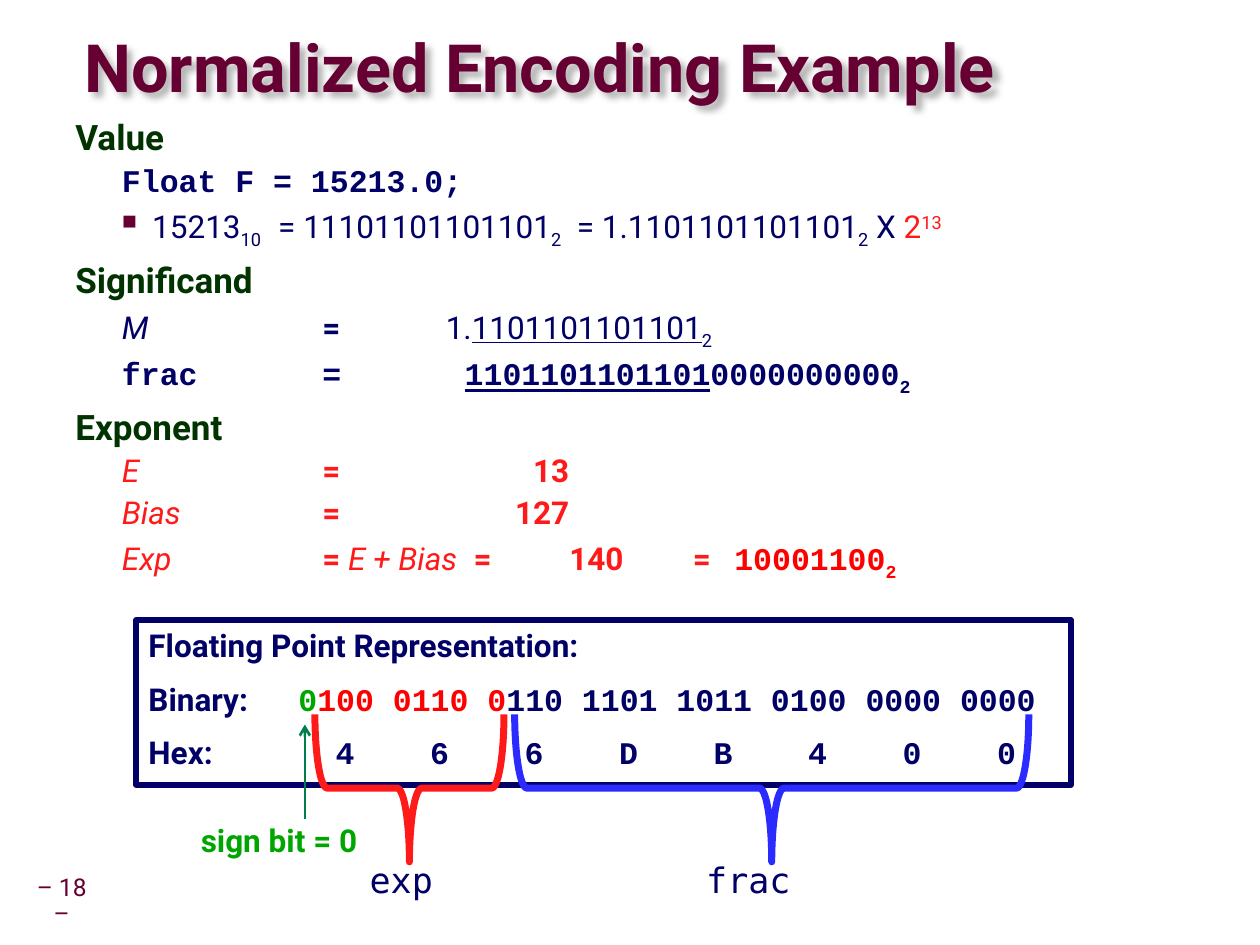
from lxml.etree import SubElement
from pptx import Presentation
from pptx.dml.color import RGBColor
from pptx.enum.shapes import MSO_CONNECTOR, MSO_SHAPE
from pptx.enum.text import MSO_ANCHOR, PP_ALIGN
from pptx.oxml.ns import qn
from pptx.util import Inches, Pt

WINE = RGBColor(0x66, 0x00, 0x33)
FOREST = RGBColor(0x00, 0x33, 0x00)
NAVY = RGBColor(0x00, 0x00, 0x66)
CORAL = RGBColor(0xFF, 0x1A, 0x1A)
RED = RGBColor(0xFF, 0x00, 0x00)
GREEN = RGBColor(0x00, 0xA6, 0x00)
TEAL = RGBColor(0x00, 0x7F, 0x4D)
BLUE = RGBColor(0x2B, 0x2B, 0xFF)
WHITE = RGBColor(0xFF, 0xFF, 0xFF)
SANS, CODE, MONO = "Roboto", "Courier New", "DejaVu Sans Mono"

# Run flags: b bold, i italic, u underlined, m code font,
# s subscript, p superscript, c coral, r red, g green
HEAD, ITEM, POINT = "head", "item", "point"
BODY = [
    (HEAD, [], [("Value", "b")]),
    (ITEM, [], [("Float F = 15213.0;", "bm")]),
    (POINT, [(1.61, "l"), (3.98, "l")],
     [("15213", ""), ("10", "s"), ("\t= 11101101101101", ""), ("2", "s"),
      ("\t= 1.1101101101101", ""), ("2", "s"), (" X ", ""),
      ("2", "c"), ("13", "cp")]),
    (HEAD, [], [("Significand", "b")]),
    (ITEM, [(1.59, "l"), (2.57, "l")],
     [("M", "i"), ("\t=\t", "b"), ("1.", ""), ("1101101101101", "u"),
      ("2", "s")]),
    (ITEM, [(1.59, "l"), (2.72, "l")],
     [("frac\t=\t", "bm"), ("1101101101101", "bmu"), ("0000000000", "bm"),
      ("2", "bms")]),
    (HEAD, [], [("Exponent", "b")]),
    (ITEM, [(1.59, "l"), (3.55, "r")], [("E", "ic"), ("\t=\t13", "bc")]),
    (ITEM, [(1.59, "l"), (3.55, "r")], [("Bias", "ic"), ("\t=\t127", "bc")]),
    (ITEM, [(1.59, "l"), (2.79, "l"), (3.55, "l"), (4.53, "l"), (4.86, "l")],
     [("Exp", "ic"), ("\t= ", "bc"), ("E + Bias", "ic"),
      ("\t=\t140\t=\t", "bc"), ("10001100", "bmr"), ("2", "bmrs")]),
]
LEVELS = {
    HEAD: (20, FOREST, 0.85, 10.5, 0, 0),
    ITEM: (18, NAVY, 0.9, 4.5, 0.37, 0),
    POINT: (18, NAVY, 0.9, 4.5, 0.61, -0.24),
}
FIELD = 1.19
BITS = [
    ([], [("Floating Point Representation:", "b")]),
    ([(FIELD, "l")],
     [("Binary:\t", "b"), ("0", "bmg"), ("100 0110 0", "bmr"),
      ("110 1101 1011 0100 0000 0000", "bm")]),
    ([(FIELD + 0.37 + 0.75 * n, "ctr") for n in range(8)],
     [("Hex:", "b"), ("".join("\t" + d for d in "466DB400"), "bm")]),
]
BRACES = [(2.5, 1.5, CORAL), (5.54 + 1.17 / 2 - 4.08 / 2, 4.08, BLUE)]
LABELS = [
    ("exp", 2.83, 6.8, 0.71, 20, MONO, NAVY, False),
    ("frac", 5.5, 6.8, 0.88, 20, MONO, NAVY, False),
    ("sign bit = 0", 1.45, 6.5, 1.53, 18, SANS, GREEN, True),
]


def style(font, size, face, color, bold=False):
    font.size, font.name, font.bold = Pt(size), face, bold
    font.color.rgb = color


def write(para, runs, size, color):
    for text, flags in runs:
        run = para.add_run()
        run.text = text
        tint = next((c for f, c in (("c", CORAL), ("r", RED), ("g", GREEN))
                     if f in flags), color)
        style(run.font, size, CODE if "m" in flags else SANS, tint,
              "b" in flags)
        run.font.italic = "i" in flags
        run.font.underline = "u" in flags
        shift = {"s": "-25000", "p": "30000"}
        for flag in flags:
            if flag in shift:
                run.font._element.set("baseline", shift[flag])


def layout(para, tabs, left=0, hang=0, bullet=False):
    props = para._p.get_or_add_pPr()
    if left:
        props.set("marL", str(Inches(left)))
    if hang:
        props.set("indent", str(Inches(hang)))
    if bullet:
        tint = SubElement(props, qn("a:buClr"))
        SubElement(tint, qn("a:srgbClr"), val=str(WINE))
        SubElement(props, qn("a:buSzPct"), val="65000")
        SubElement(props, qn("a:buChar"), char="■")
    if tabs:
        stops = SubElement(props, qn("a:tabLst"))
        for pos, side in tabs:
            SubElement(stops, qn("a:tab"), pos=str(Inches(pos)), algn=side)


def textbox(slide, x, y, w, h):
    box = slide.shapes.add_textbox(Inches(x), Inches(y), Inches(w), Inches(h))
    box.text_frame.word_wrap = True
    return box.text_frame


def label(slide, text, x, y, w, h, size, face, color, bold):
    frame = textbox(slide, x, y, w, h)
    para = frame.paragraphs[0]
    para.text, para.alignment, para.line_spacing = text, PP_ALIGN.CENTER, 0.9
    style(para.runs[0].font, size, face, color, bold)
    return frame


def lines(frame, count):
    return [frame.paragraphs[0]] + [frame.add_paragraph()
                                    for _ in range(count - 1)]


def add_title(slide):
    title = slide.shapes.title
    title.left, title.top = Inches(0.67), Inches(0.25)
    title.width, title.height = Inches(8.06), Inches(0.63)
    frame = title.text_frame
    frame.text = "Normalized Encoding Example"
    frame.margin_left = frame.margin_right = 0
    frame.margin_top = frame.margin_bottom = 0
    frame.vertical_anchor = MSO_ANCHOR.MIDDLE
    para = frame.paragraphs[0]
    para.alignment, para.line_spacing = PP_ALIGN.LEFT, 0.87
    style(para.runs[0].font, 38, SANS, WINE, True)
    effects = SubElement(title._element.spPr, qn("a:effectLst"))
    shade = SubElement(effects, qn("a:outerShdw"), blurRad=str(Pt(4)),
                       dist=str(Pt(4)), dir="2700000")
    black = SubElement(shade, qn("a:srgbClr"), val="000000")
    SubElement(black, qn("a:alpha"), val="30000")


def add_body(slide):
    frame = textbox(slide, 0.5, 0.92, 9.03, 3.8)
    for n, (para, (kind, tabs, runs)) in enumerate(
            zip(lines(frame, len(BODY)), BODY)):
        size, color, pitch, gap, left, hang = LEVELS[kind]
        layout(para, tabs, left, hang, kind == POINT)
        para.line_spacing = pitch
        para.space_before = Pt(gap if n else 0)
        write(para, runs, size, color)


def add_bits(slide):
    box = slide.shapes.add_shape(MSO_SHAPE.RECTANGLE, Inches(1.08),
                                 Inches(4.92), Inches(7.42), Inches(1.31))
    box.shadow.inherit = False
    box.fill.background()
    box.line.color.rgb, box.line.width = NAVY, Pt(3)
    frame = box.text_frame
    frame.vertical_anchor = MSO_ANCHOR.TOP
    for n, (para, (tabs, runs)) in enumerate(
            zip(lines(frame, len(BITS)), BITS)):
        layout(para, tabs)
        para.alignment = PP_ALIGN.LEFT
        para.space_before = Pt(9 if n else 0)
        write(para, runs, 18, NAVY)


def add_marks(slide):
    deep, top = 1.17, 5.67
    for left, span, color in BRACES:
        brace = slide.shapes.add_shape(
            MSO_SHAPE.LEFT_BRACE, Inches(left + (span - deep) / 2),
            Inches(top + (deep - span) / 2), Inches(deep), Inches(span))
        brace.rotation = 270
        brace.shadow.inherit = False
        brace.fill.background()
        brace.line.color.rgb, brace.line.width = color, Pt(4)
    for text, x, y, w, *look in LABELS:
        label(slide, text, x, y, w, 0.38, *look).word_wrap = False
    arrow = slide.shapes.add_connector(
        MSO_CONNECTOR.STRAIGHT, Inches(2.42), Inches(6.5), Inches(2.42),
        Inches(5.75))
    arrow.line.color.rgb, arrow.line.width = TEAL, Pt(1.5)
    SubElement(arrow.line._get_or_add_ln(), qn("a:tailEnd"), type="arrow")
    SubElement(arrow._element.spPr, qn("a:effectLst"))


def main():
    deck = Presentation()
    deck.slide_width, deck.slide_height = Inches(10), Inches(7.5)
    slide = deck.slides.add_slide(deck.slide_layouts[5])
    slide.background.fill.solid()
    slide.background.fill.fore_color.rgb = WHITE
    page = label(slide, "– 18 –", 0.24, 7, 0.5, 0.31, 14, SANS, WINE, False)
    page.margin_left = page.margin_right = Inches(0.05)
    page.vertical_anchor = MSO_ANCHOR.MIDDLE
    add_title(slide)
    add_body(slide)
    add_bits(slide)
    add_marks(slide)
    deck.save("out.pptx")


if __name__ == "__main__":
    main()
